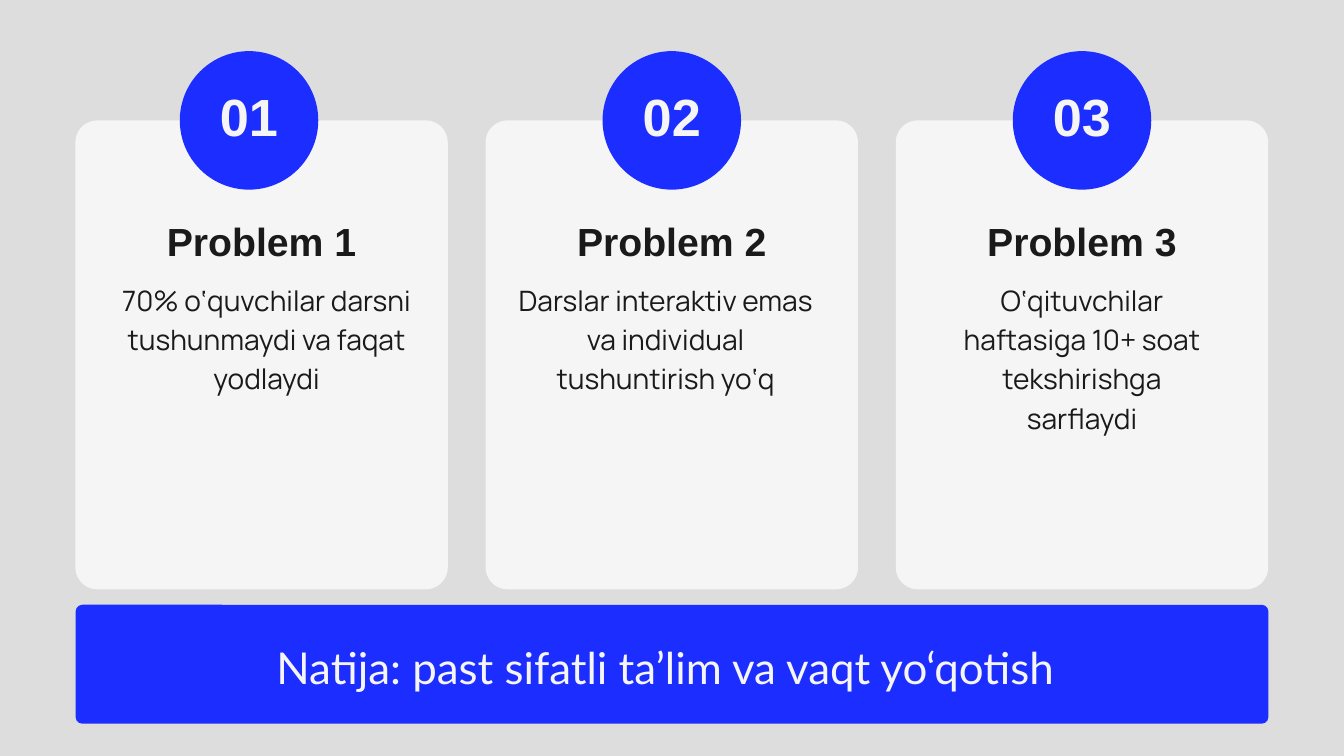
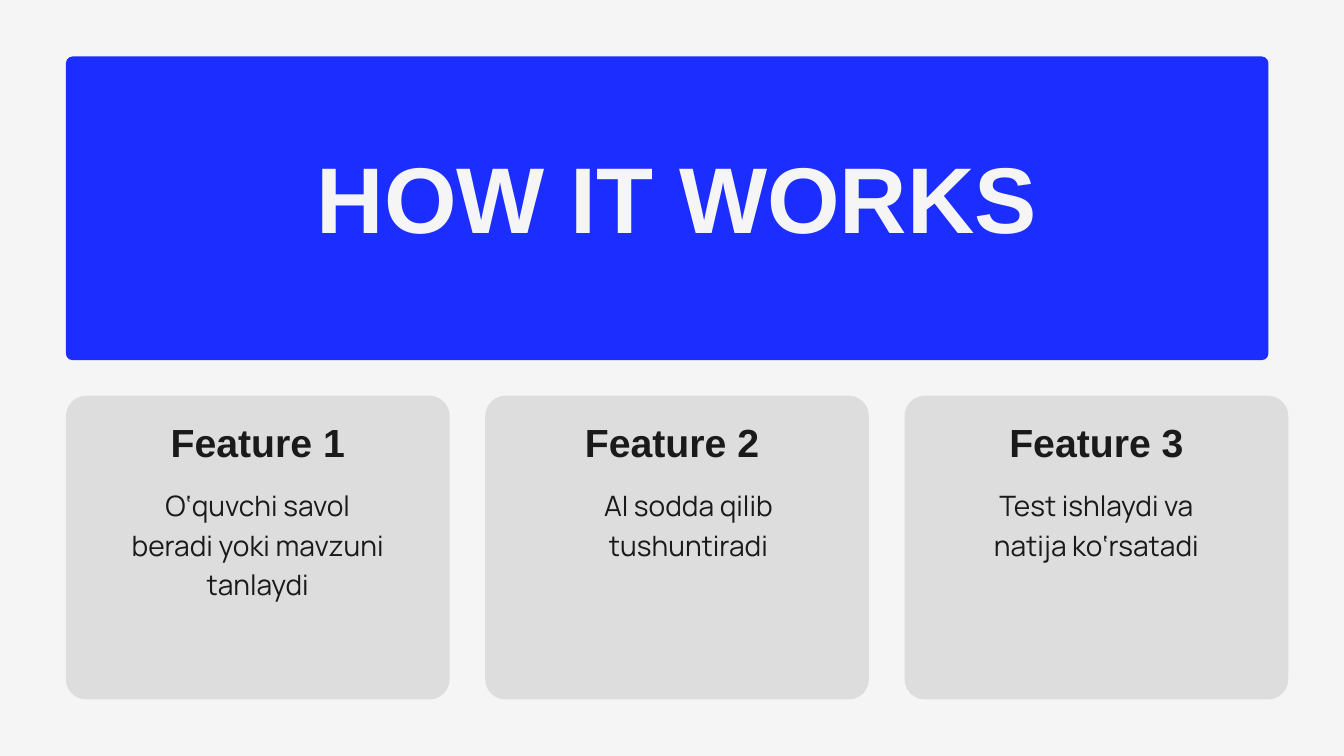
from dataclasses import dataclass

from pptx import Presentation
from pptx import util as u
from pptx.dml import color
from pptx.enum import shapes, text

PROBLEMS = [
    dict(badge="01", heading="Problem 1", badge_shift=-13.5,
         body="70% o‘quvchilar darsni tushunmaydi va faqat yodlaydi",
         body_shift=5.3, body_size=(361.4, 127.4)),
    dict(badge="02", heading="Problem 2",
         body="Darslar interaktiv emas va individual tushuntirish yo‘q",
         body_shift=-6.5, body_size=(319.7, 127.4)),
    dict(badge="03", heading="Problem 3",
         body="O‘qituvchilar haftasiga 10+ soat tekshirishga sarflaydi",
         body_size=(288, 169.2)),
]
RESULT = "Natija: past sifatli ta’lim va vaqt yo‘qotish"

TITLE = "HOW IT WORKS"
FEATURES = [
    dict(heading="Feature 1", body_size=(283, 127.4),
         body="O‘quvchi savol beradi yoki mavzuni tanlaydi"),
    dict(heading="Feature 2", heading_shift=-5.4, body_shift=12.2,
         body="AI sodda qilib tushuntiradi", body_size=(283, 85.7)),
    dict(heading="Feature 3", body_size=(283, 127.4),
         body="Test ishlaydi va natija ko‘rsatadi"),
]


@dataclass(frozen=True)
class Theme:
    blue: str = "1C2EFF"
    light: str = "F5F5F5"
    grey: str = "DDDDDD"
    ink: str = "1A1A1A"
    display: str = "Arial"
    body: str = "Manrope"
    result: str = "Lato"
    title_size: float = 100
    badge_size: float = 56
    result_size: float = 47
    heading_size: float = 42
    body_size: float = 30.1
    banner_radius: float = 7.2


@dataclass(frozen=True)
class Cards:
    left: float
    top: float
    width: float
    height: float
    pitch: float
    radius: float
    fill: str
    heading_top: float
    heading_width: float
    body_top: float

    def center(self, index):
        return self.left + index * self.pitch + self.width / 2


THEME = Theme()
PROBLEM_CARDS = Cards(80.8, 129, 399, 502.4, 439.5, 23.6, THEME.light, 233.3, 350.6, 297.4)
FEATURE_CARDS = Cards(70.6, 424, 411.1, 325.4, 449.3, 21.6, THEME.grey, 447.8, 380.2, 517.7)
BADGE = 148.4


def add_page(deck, background):
    page = deck.slides.add_slide(deck.slide_layouts[6])
    page.background.fill.solid()
    page.background.fill.fore_color.rgb = color.RGBColor.from_string(background)
    return page


def add_panel(page, kind, left, top, width, height, fill, radius=None):
    panel = page.shapes.add_shape(kind, u.Pt(left), u.Pt(top), u.Pt(width), u.Pt(height))
    if radius:
        panel.adjustments[0] = radius / min(width, height)
    panel.shadow.inherit = False
    panel.fill.solid()
    panel.fill.fore_color.rgb = color.RGBColor.from_string(fill)
    panel.line.fill.background()


def add_banner(page, left, top, width, height):
    add_panel(page, shapes.MSO_SHAPE.ROUNDED_RECTANGLE, left, top, width, height,
              THEME.blue, THEME.banner_radius)


def add_text(page, words, *, center, top, width, height, size, leading,
             font=THEME.display, bold=True, ink=THEME.ink):
    box = page.shapes.add_textbox(u.Pt(center - width / 2), u.Pt(top), u.Pt(width), u.Pt(height))
    frame = box.text_frame
    frame.margin_left = frame.margin_right = frame.margin_top = frame.margin_bottom = 0
    frame.word_wrap = True
    frame.auto_size = text.MSO_AUTO_SIZE.SHAPE_TO_FIT_TEXT
    para = frame.paragraphs[0]
    para.alignment = text.PP_ALIGN.CENTER
    para.line_spacing = u.Pt(leading)
    span = para.add_run()
    span.text = words
    span.font.name = font
    span.font.size = u.Pt(size)
    span.font.bold = bold
    span.font.color.rgb = color.RGBColor.from_string(ink)


def add_badge(page, label, center, middle):
    add_panel(page, shapes.MSO_SHAPE.OVAL, center - BADGE / 2, middle - BADGE / 2,
              BADGE, BADGE, THEME.blue)
    add_text(page, label, center=center, top=middle - 38.3, width=121.7, height=72,
             size=THEME.badge_size, leading=67.2, ink=THEME.light)


def add_cards(page, items, cards):
    for index, item in enumerate(items):
        center = cards.center(index)
        add_panel(page, shapes.MSO_SHAPE.ROUNDED_RECTANGLE, center - cards.width / 2,
                  cards.top, cards.width, cards.height, cards.fill, cards.radius)
        if "badge" in item:
            add_badge(page, item["badge"], center + item.get("badge_shift", 0), cards.top)
        add_text(page, item["heading"], center=center + item.get("heading_shift", 0),
                 top=cards.heading_top, width=cards.heading_width, height=54.7,
                 size=THEME.heading_size, leading=50.4)
        width, height = item["body_size"]
        add_text(page, item["body"], center=center + item.get("body_shift", 0),
                 top=cards.body_top, width=width, height=height,
                 size=THEME.body_size, leading=42.1, font=THEME.body, bold=False)


def build_problems(deck):
    page = add_page(deck, THEME.grey)
    add_cards(page, PROBLEMS, PROBLEM_CARDS)
    add_banner(page, 81, 648, 1278, 127.4)
    add_text(page, RESULT, center=713, top=676.8, width=1278, height=62.6,
             size=THEME.result_size, leading=65.8, font=THEME.result,
             bold=False, ink=THEME.light)


def build_features(deck):
    page = add_page(deck, THEME.light)
    add_banner(page, 70.6, 60.5, 1288.4, 325.4)
    add_text(page, TITLE, center=725.4, top=169.9, width=860.4, height=113,
             size=THEME.title_size, leading=100, ink=THEME.light)
    add_cards(page, FEATURES, FEATURE_CARDS)


def main():
    deck = Presentation()
    deck.slide_width = u.Pt(1440)
    deck.slide_height = u.Pt(810)
    build_problems(deck)
    build_features(deck)
    deck.save("out.pptx")


if __name__ == "__main__":
    main()
